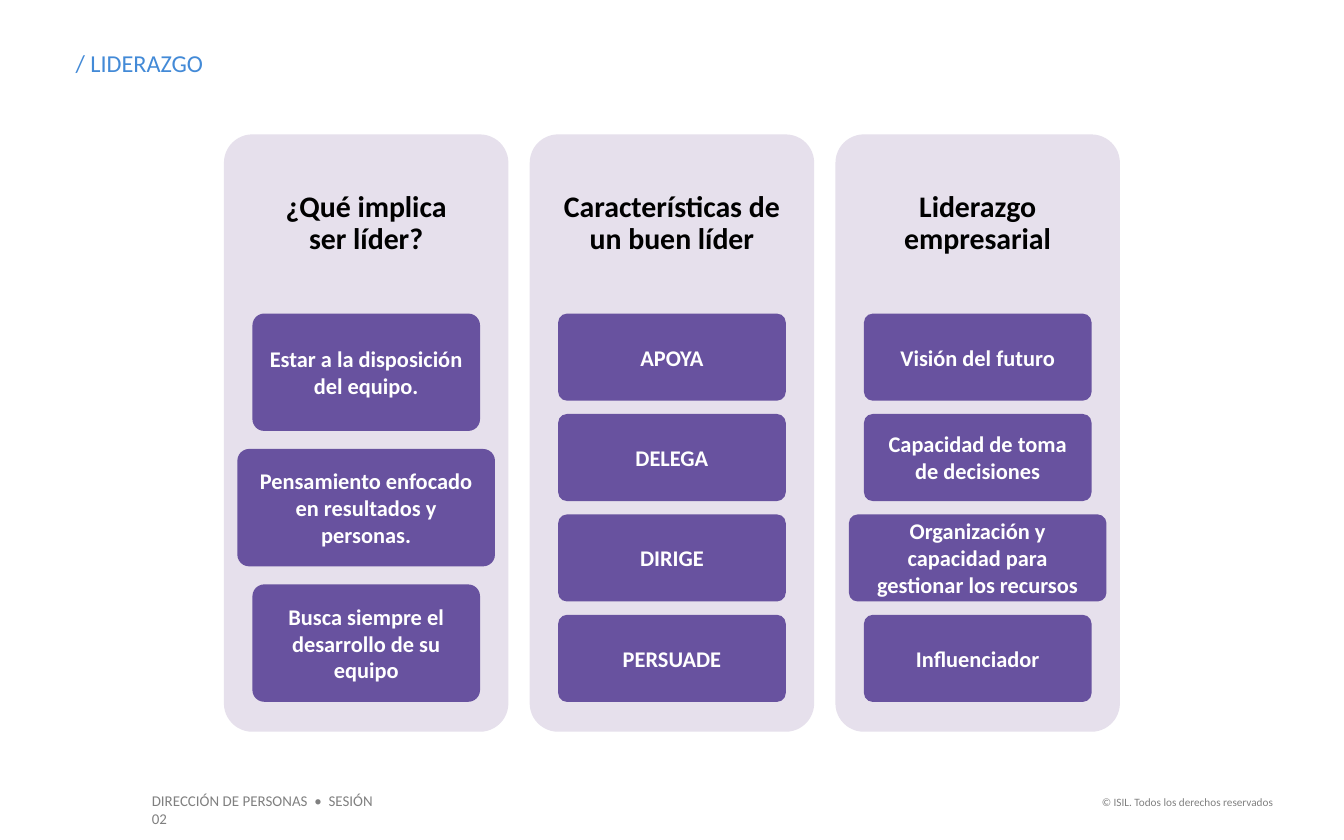
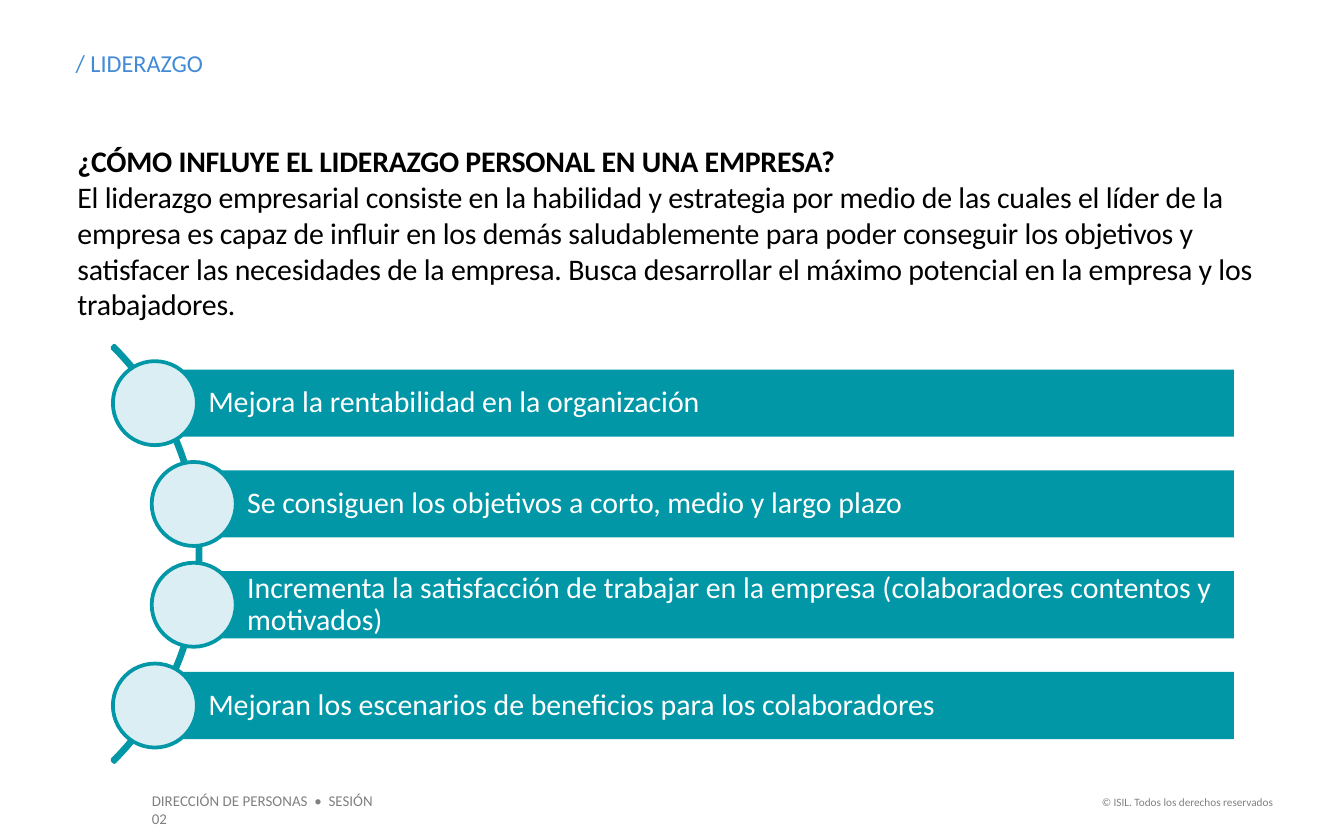
"""Build two slides on leadership: three columns of cards and an arc list."""
from lxml import etree
from pptx import Presentation
from pptx.dml.color import RGBColor
from pptx.enum import shapes, text
from pptx.oxml import ns
from pptx.util import Pt

BLUE = RGBColor(0x43, 0x8A, 0xD7)
GREY = RGBColor(0x80, 0x80, 0x80)
LILAC = RGBColor(0xE6, 0xE0, 0xEC)
PURPLE = RGBColor(0x68, 0x52, 0x9F)
TEAL = RGBColor(0x01, 0x97, 0xA7)
PALE = RGBColor(0xDB, 0xEE, 0xF4)
BLACK = RGBColor(0, 0, 0)
WHITE = RGBColor(255, 255, 255)

KIND = shapes.MSO_SHAPE
LEFT, MID, RIGHT = text.PP_ALIGN.LEFT, text.PP_ALIGN.CENTER, text.PP_ALIGN.RIGHT
TOP, HALF = text.MSO_ANCHOR.TOP, text.MSO_ANCHOR.MIDDLE

COLUMNS = [
    ("¿Qué implica\vser líder?", [
        "Estar a la disposición del equipo.",
        "Pensamiento enfocado\ven resultados y\vpersonas.",
        "Busca siempre el desarrollo de su equipo"]),
    ("Características de\vun buen líder", ["APOYA", "DELEGA", "DIRIGE", "PERSUADE"]),
    ("Liderazgo\vempresarial", [
        "Visión del futuro",
        "Capacidad de toma\vde decisiones",
        "Organización y\vcapacidad para\vgestionar los recursos",
        "Influenciador"]),
]
ASK = "¿CÓMO INFLUYE EL LIDERAZGO PERSONAL EN UNA EMPRESA?"
REPLY = (
    "El liderazgo empresarial consiste en la habilidad y estrategia por medio de "
    "las cuales el líder de la empresa es capaz de influir en los demás "
    "saludablemente para poder conseguir los objetivos y satisfacer las necesidades "
    "de la empresa. Busca desarrollar el máximo potencial en la empresa y "
    "los trabajadores."
)
GAINS = [
    (83, "Mejora la rentabilidad en la organización"),
    (103.8, "Se consiguen los objetivos a corto, medio y largo plazo"),
    (103.8, "Incrementa la satisfacción de trabajar en la empresa "
            "(colaboradores contentos y motivados)"),
    (83, "Mejoran los escenarios de beneficios para los colaboradores"),
]


class Deck:
    """Hold the style and the current slide."""

    def __init__(self):
        self.prs = Presentation()
        self.prs.slide_width, self.prs.slide_height = Pt(720), Pt(450)
        self.slide = None

    def start(self, title, layout):
        self.slide = self.prs.slides.add_slide(self.prs.slide_layouts[layout])
        self.place(self.slide.shapes.title, 40.5, 26, 308, 16)
        self.letter(self.slide.shapes.title, title, 13, BLUE)

    def place(self, item, x, y, w, h):
        item.left, item.top, item.width, item.height = Pt(x), Pt(y), Pt(w), Pt(h)

    def letter(self, item, words, size, color, bold=False, align=LEFT,
               anchor=TOP, pad=(0, 0, 0, 0), lead=1.0):
        frame = item.text_frame
        frame.text = words
        frame.word_wrap = True
        frame.auto_size = text.MSO_AUTO_SIZE.NONE
        frame.vertical_anchor = anchor
        frame.margin_left, frame.margin_top = Pt(pad[0]), Pt(pad[1])
        frame.margin_right, frame.margin_bottom = Pt(pad[2]), Pt(pad[3])
        for para in frame.paragraphs:
            para.alignment = align
            para.line_spacing = lead
            para.space_before = Pt(0)
            for run in para.runs:
                run.font.name, run.font.size = "Calibri", Pt(size)
                run.font.bold, run.font.color.rgb = bold, color

    def label(self, words, box, size, color, **style):
        item = self.slide.shapes.add_textbox(*map(Pt, box))
        self.letter(item, words, size, color, **style)
        return item

    def shape(self, kind, box, fill=None, line=None, adjust=()):
        item = self.slide.shapes.add_shape(kind, *map(Pt, box))
        item.shadow.inherit = False
        if fill is None:
            item.fill.background()
        else:
            item.fill.solid()
            item.fill.fore_color.rgb = fill
        if line is None:
            item.line.fill.background()
        else:
            item.line.color.rgb, item.line.width = line, Pt(2)
        for i, value in enumerate(adjust):
            item.adjustments[i] = value
        return item

    def body(self, head, words, box):
        item = self.slide.placeholders[1]
        self.place(item, *box)
        self.letter(item, head + "\n" + words, 16, BLACK)
        for para in item.text_frame.paragraphs:
            props = para._p.get_or_add_pPr()
            props.set("marL", str(Pt(1)))
            props.set("indent", "0")
            etree.SubElement(props, ns.qn("a:buNone"))
            for run in para.runs:
                run._r.get_or_add_rPr().set("spc", "-10")
        item.text_frame.paragraphs[0].runs[0].font.bold = True

    def footer(self):
        pad = (7.2, 3.6, 7.2, 3.6)
        course = self.label("DIRECCIÓN DE PERSONAS  •  SESIÓN 02",
                            (74.2, 420.5, 142.6, 17), 8, GREY, pad=pad)
        rights = self.label("© ISIL. Todos los derechos reservados",
                            (579.6, 422.6, 109.4, 14.4), 6, GREY, align=RIGHT, pad=pad)
        for item in (course, rights):
            self.prs.slide_master.shapes._spTree.append(item._element)


def columns(deck):
    wide, tall, top = 152.4, 320, 72
    for i, (head, cards) in enumerate(COLUMNS):
        x = 120 + i * 163.8
        deck.shape(KIND.ROUNDED_RECTANGLE, (x, top, wide, tall), LILAC, adjust=[0.1])
        deck.label(head, (x, top, wide, 0.3 * tall), 16, BLACK, bold=True,
                   align=MID, anchor=HALF, pad=(5, 5, 5, 5), lead=0.9)
        count = len(cards)
        high = 0.65 * tall / (count + (count - 1) * 2 / 13)
        for j, words in enumerate(cards):
            broad = 138 if words.count("\v") == 2 else 0.8 * wide
            box = (x + (wide - broad) / 2, top + 0.3 * tall + j * high * 15 / 13,
                   broad, high)
            card = deck.shape(KIND.ROUNDED_RECTANGLE, box, PURPLE, adjust=[0.1])
            deck.letter(card, words, 12, WHITE, bold=True, align=MID, anchor=HALF,
                        pad=(2, 2, 2, 2))


def gains(deck):
    deck.shape(KIND.BLOCK_ARC, (-208, 139, 315.4, 315.4), line=TEAL,
               adjust=[189, 27, 0.005])
    high, disc, end = 36, 45, 661
    for i, (x, words) in enumerate(GAINS):
        y = 198 + i * 54
        bar = deck.shape(KIND.RECTANGLE, (x, y, end - x, high), TEAL)
        deck.letter(bar, words, 16, WHITE, anchor=HALF, pad=(28.6, 3, 3, 3), lead=0.9)
        deck.shape(KIND.OVAL, (x - disc / 2, y + (high - disc) / 2, disc, disc),
                   PALE, TEAL)


def main():
    deck = Deck()
    deck.start("/ LIDERAZGO", 5)
    deck.footer()
    columns(deck)
    deck.start("/ LIDERAZGO", 1)
    deck.body(ASK, REPLY, (40.5, 76.5, 640, 97))
    gains(deck)
    deck.prs.save("out.pptx")


if __name__ == "__main__":
    main()
